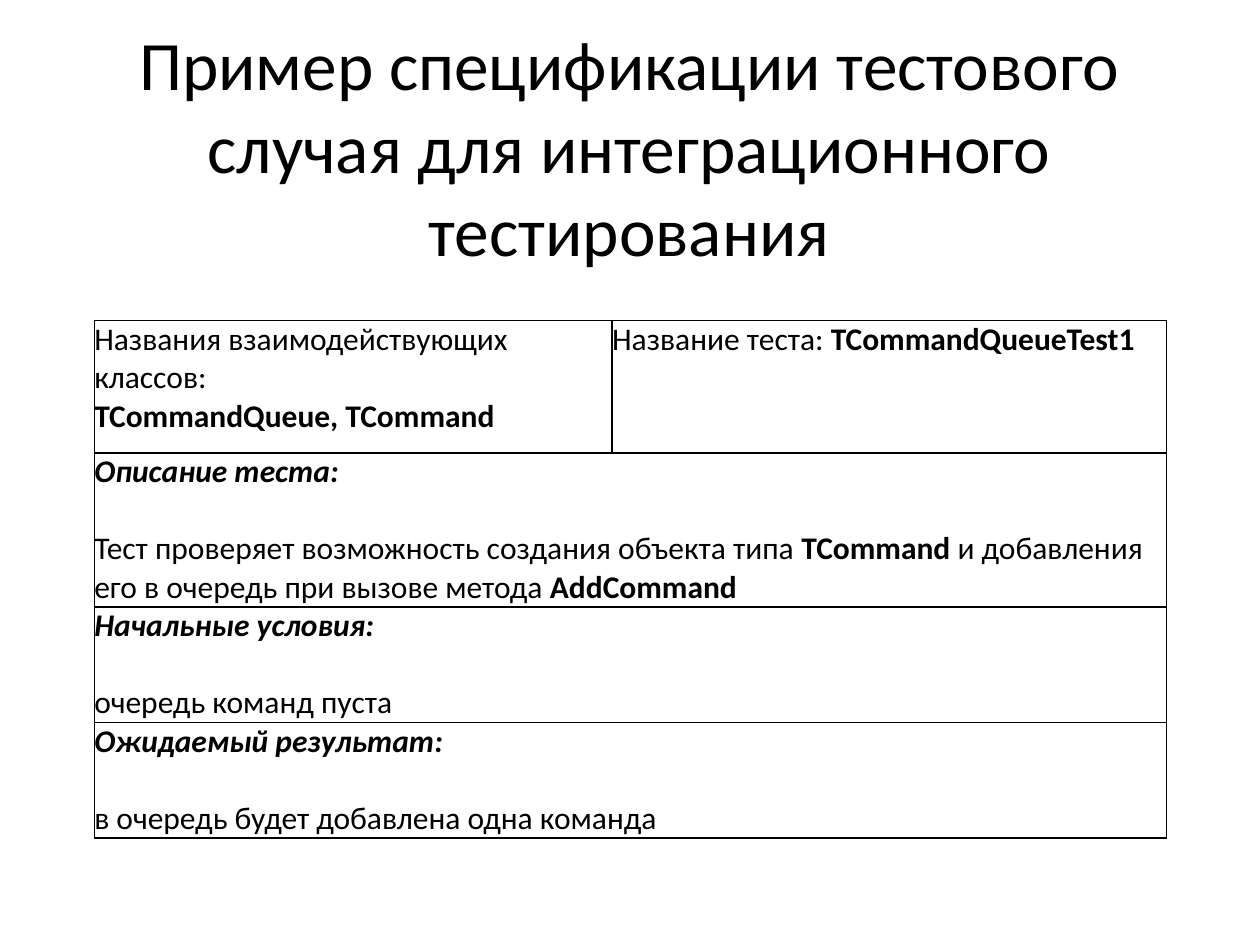
from lxml.etree import SubElement
from pptx import Presentation
from pptx.dml.color import RGBColor
from pptx.enum.text import MSO_ANCHOR, MSO_AUTO_SIZE, PP_ALIGN
from pptx.oxml.ns import qn
from pptx.util import Cm, Pt

HEADING = "Пример спецификации тестового случая для интеграционного тестирования"
PLAIN, BOLD, LABEL = {}, {"bold": True}, {"bold": True, "italic": True}

NAMES = [
    [
        [("Названия взаимодействующих классов:", PLAIN)],
        [("TCommandQueue, TCommand", BOLD)],
    ],
    [[("Название теста: ", PLAIN), ("TCommandQueueTest1", BOLD)]],
]
SECTIONS = [
    ("Описание теста:", [
        ("Тест проверяет возможность создания объекта типа ", PLAIN),
        ("TCommand", BOLD),
        (" и добавления его в очередь при вызове метода ", PLAIN),
        ("AddCommand", BOLD),
    ]),
    ("Начальные условия:", [("очередь команд пуста", PLAIN)]),
    ("Ожидаемый результат:", [("в очередь будет добавлена одна команда", PLAIN)]),
]

THEME = {
    "font": "Calibri",
    "ink": RGBColor(0x00, 0x00, 0x00),
    "paper": RGBColor(0xFF, 0xFF, 0xFF),
    "title": Pt(39.6),
    "body": Pt(18),
    "gap": Pt(22),
    "border": Pt(1),
}
COLUMNS = [Cm(10.44), Cm(11.18)]
ROWS = [Cm(2.67), Cm(3.1), Cm(2.33), Cm(2.33)]
TITLE_BOX = {"left": Cm(1.27), "top": Cm(0.76), "width": Cm(22.83), "height": Cm(4.37)}
CELL = {"margin_left": 0, "margin_right": 0, "margin_top": 0, "margin_bottom": 0,
        "vertical_anchor": MSO_ANCHOR.TOP}


def apply(target, values):
    for key, value in values.items():
        setattr(target, key, value)


def write(paragraph, runs, size):
    for words, style in runs:
        run = paragraph.add_run()
        run.text = words
        apply(run.font, {"name": THEME["font"], "size": size,
                         "bold": False, "italic": False, **style})
        run.font.color.rgb = THEME["ink"]


def draw_borders(cell):
    properties = cell._tc.get_or_add_tcPr()
    for position, side in enumerate(("lnL", "lnR", "lnT", "lnB")):
        border = properties.makeelement(qn(f"a:{side}"), {"w": str(THEME["border"])})
        fill = SubElement(border, qn("a:solidFill"))
        SubElement(fill, qn("a:srgbClr"), val=str(THEME["ink"]))
        properties.insert(position, border)


def fill_cell(cell, paragraphs, gap=0):
    frame = cell.text_frame
    frame.word_wrap = True
    for number, runs in enumerate(paragraphs):
        paragraph = frame.add_paragraph() if number else frame.paragraphs[0]
        apply(paragraph, {"alignment": PP_ALIGN.LEFT, "space_before": gap if number else 0})
        write(paragraph, runs, THEME["body"])


def add_title(slide):
    title = slide.shapes.title
    apply(title, TITLE_BOX)
    frame = title.text_frame
    apply(frame, {"word_wrap": True, "auto_size": MSO_AUTO_SIZE.NONE,
                  "vertical_anchor": MSO_ANCHOR.MIDDLE})
    frame.paragraphs[0].alignment = PP_ALIGN.CENTER
    write(frame.paragraphs[0], [(HEADING, PLAIN)], THEME["title"])


def add_specification(slide):
    specification = slide.shapes.add_table(
        len(ROWS), len(COLUMNS), Cm(1.9), Cm(6.46), sum(COLUMNS), sum(ROWS)).table
    apply(specification, {"first_row": False, "horz_banding": False})
    for column, width in zip(specification.columns, COLUMNS):
        column.width = width
    for row, height in zip(specification.rows, ROWS):
        row.height = height
    for cell in specification.iter_cells():
        apply(cell, CELL)
        cell.fill.solid()
        cell.fill.fore_color.rgb = THEME["paper"]
        draw_borders(cell)
    for column, paragraphs in enumerate(NAMES):
        fill_cell(specification.cell(0, column), paragraphs)
    for row, (label, details) in enumerate(SECTIONS, start=1):
        section = specification.cell(row, 0)
        section.merge(specification.cell(row, len(COLUMNS) - 1))
        fill_cell(section, [[(label, LABEL)], details], THEME["gap"])


def main():
    presentation = Presentation()
    apply(presentation, {"slide_width": Cm(25.4), "slide_height": Cm(19.05)})
    slide = presentation.slides.add_slide(presentation.slide_layouts[5])
    add_title(slide)
    add_specification(slide)
    presentation.save("out.pptx")


if __name__ == "__main__":
    main()
